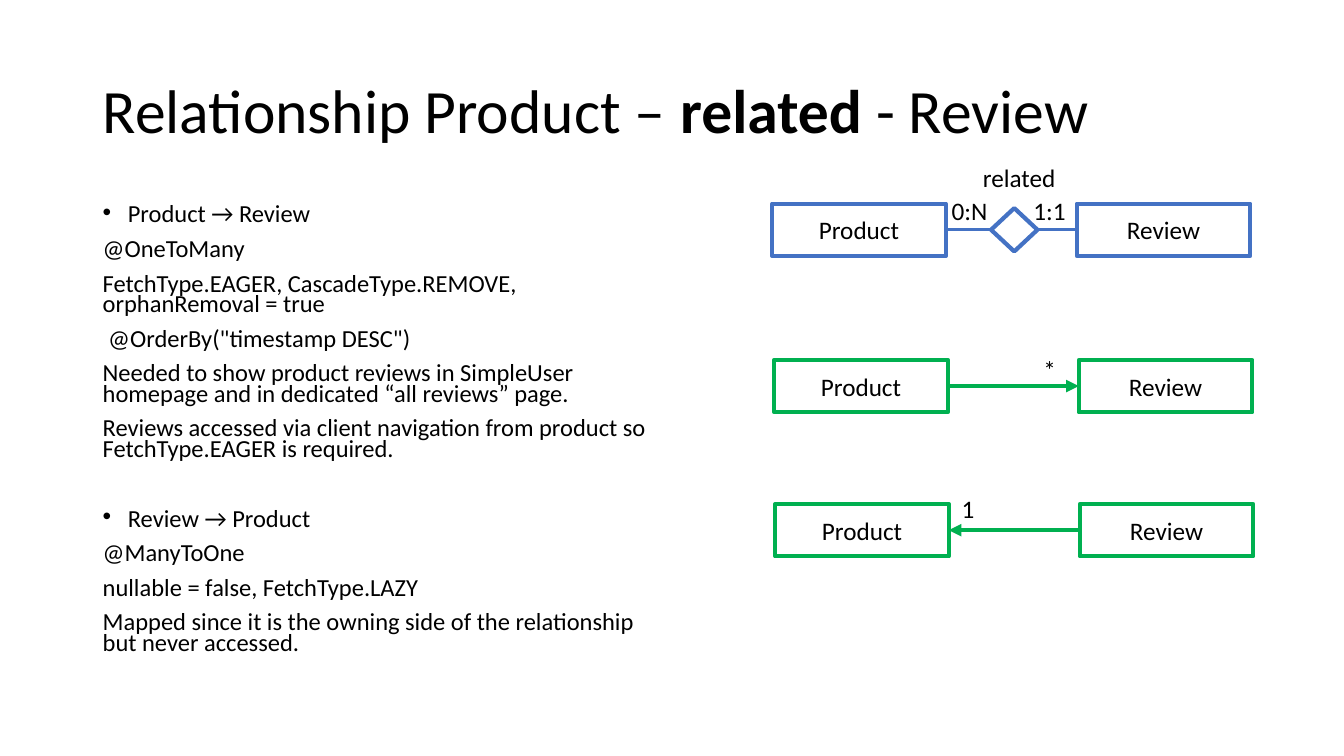
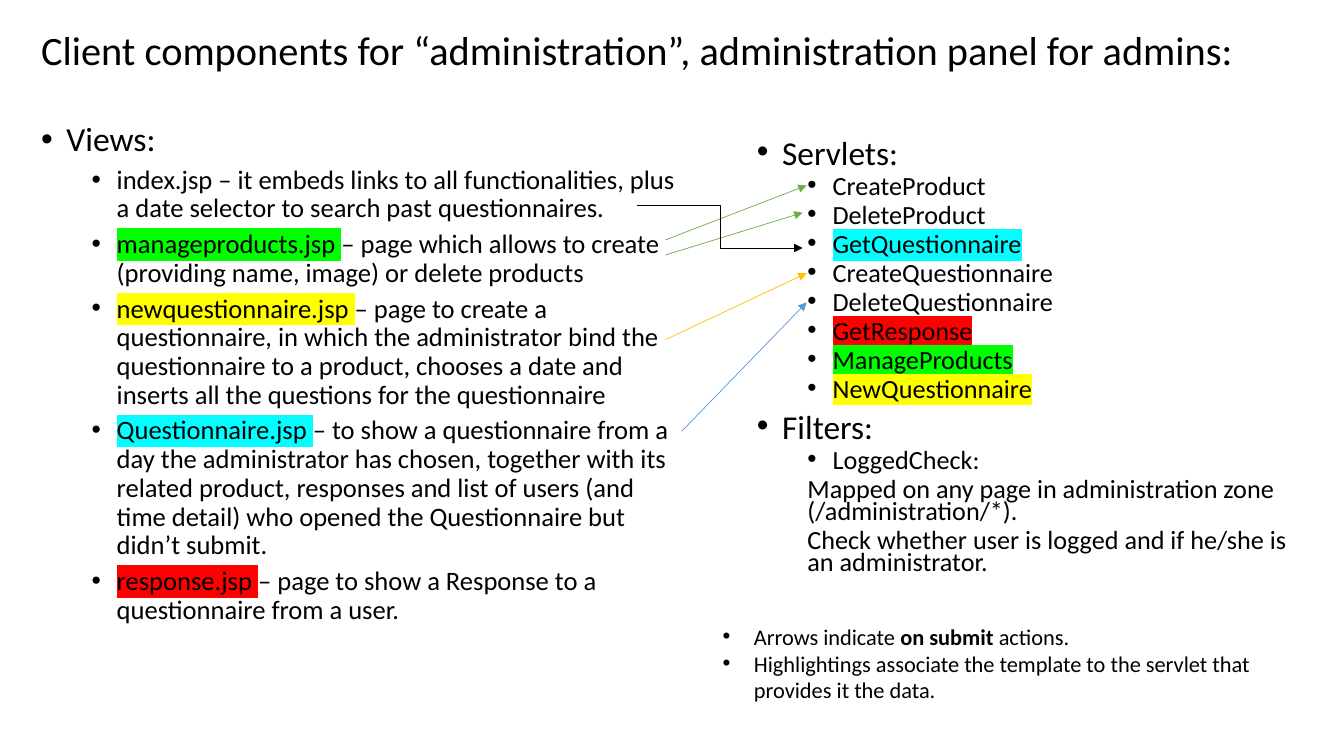
from dataclasses import dataclass

from lxml import etree
from pptx import Presentation
from pptx.dml.color import RGBColor
from pptx.enum.shapes import MSO_CONNECTOR, MSO_SHAPE
from pptx.enum.text import MSO_ANCHOR, MSO_AUTO_SIZE, PP_ALIGN
from pptx.oxml.ns import qn
from pptx.util import Inches, Pt

STRAIGHT, ELBOW = MSO_CONNECTOR.STRAIGHT, MSO_CONNECTOR.ELBOW
RECTANGLE, DIAMOND = MSO_SHAPE.RECTANGLE, MSO_SHAPE.DIAMOND
TOP, MIDDLE = MSO_ANCHOR.TOP, MSO_ANCHOR.MIDDLE
LEFT, CENTER = PP_ALIGN.LEFT, PP_ALIGN.CENTER


@dataclass(frozen=True)
class Theme:
    font: str = "Calibri"
    text: str = "000000"
    paper: str = "FFFFFF"
    entity: str = "4472C4"
    mapping: str = "00B050"
    title: float = 44
    small_title: float = 28.8
    label: float = 18
    note: float = 16


@dataclass(frozen=True)
class ParagraphStyle:
    size: float
    indent: float = 0
    hanging: float = 0
    line_spacing: float = 1
    space_before: float = 0
    align: int = LEFT


THEME = Theme()
HIGHLIGHTS = {"cyan": "00FFFF", "red": "FF0000", "green": "00FF00", "yellow": "FFFF00"}
STYLES = {
    "title": ParagraphStyle(THEME.title, line_spacing=0.9),
    "small title": ParagraphStyle(THEME.small_title, line_spacing=0.9),
    "label": ParagraphStyle(THEME.label),
    "box": ParagraphStyle(THEME.label, align=CENTER),
    "note": ParagraphStyle(THEME.note, 0.31, 0.31),
    "direction": ParagraphStyle(17.5, 0.25, 0.25, 0.7, 10),
    "next direction": ParagraphStyle(17.5, 0.25, 0.25, 0.7, 35),
    "detail": ParagraphStyle(17.5, 0, 0, 0.7, 10),
    "group": ParagraphStyle(23.8, 0.25, 0.25, 0.7, 10),
    "class": ParagraphStyle(18.7, 0.75, 0.25, 0.7, 5),
    "class detail": ParagraphStyle(18.7, 0.5, 0, 0.7, 5),
    "view group": ParagraphStyle(24, 0.25, 0.25, 0.9, 10),
    "view": ParagraphStyle(19, 0.75, 0.25, 0.9, 5),
}

# A paragraph is a style name followed by runs; a run is text or (text, mark).
RELATIONSHIP_TITLE = [("title", "Relationship Product – ", ("related", "bold"), " - Review")]
RELATIONSHIP_TEXT = [
    ("direction", "Product → Review"),
    ("detail", "@OneToMany"),
    ("detail", "FetchType.EAGER, CascadeType.REMOVE, orphanRemoval = true"),
    ("detail", " @OrderBy(\"timestamp DESC\")"),
    ("detail", "Needed to show product reviews in SimpleUser homepage and in dedicated “all reviews” page."),
    ("detail", "Reviews accessed via client navigation from product so FetchType.EAGER is required."),
    ("next direction", "Review → Product"),
    ("detail", "@ManyToOne"),
    ("detail", "nullable = false, FetchType.LAZY"),
    ("detail", "Mapped since it is the owning side of the relationship but never accessed."),
]
# left, top, line colour, fill colour
ENTITY_PAIRS = [
    (7.66, 2.02, THEME.entity, THEME.paper),
    (7.68, 3.57, THEME.mapping, None),
    (7.69, 5, THEME.mapping, None),
]
BOX_WIDTH, BOX_HEIGHT, BOX_STEP = 1.72, 0.52, 3.02
DIAMOND_WIDTH, DIAMOND_HEIGHT = 0.46, 0.43
# text, left, top, width
DIAGRAM_LABELS = [
    ("0:N", 9.34, 1.89, 0.56),
    ("1:1", 10.15, 1.89, 0.53),
    ("related", 9.65, 1.56, 0.93),
    ("*", 10.25, 3.47, 0.33),
    ("1", 9.44, 4.84, 0.33),
]

COMPONENTS_TITLE = [
    ("small title", "Client components for “administration”, administration panel for admins:"),
]
VIEWS = [
    ("view group", "Views:"),
    ("view", "index.jsp – it embeds links to all functionalities, plus a date selector "
             "to search past questionnaires."),
    ("view", ("manageproducts.jsp ", "green"),
     "– page which allows to create (providing name, image) or delete products"),
    ("view", ("newquestionnaire.jsp ", "yellow"),
     "– page to create a questionnaire, in which the administrator bind the questionnaire "
     "to a product, chooses a date and inserts all the questions for the questionnaire"),
    ("view", ("Questionnaire.jsp ", "cyan"),
     "– to show a questionnaire from a day the administrator has chosen, together with its "
     "related product, responses and list of users (and time detail) who opened the "
     "Questionnaire but didn’t submit."),
    ("view", ("response.jsp ", "red"), "– page to show a Response to a questionnaire from a user."),
]
SERVLETS = [
    ("group", "Servlets:"),
    ("class", "CreateProduct"),
    ("class", "DeleteProduct"),
    ("class", ("GetQuestionnaire", "cyan")),
    ("class", "CreateQuestionnaire"),
    ("class", "DeleteQuestionnaire"),
    ("class", ("GetResponse", "red")),
    ("class", ("ManageProducts", "green")),
    ("class", ("NewQuestionnaire", "yellow")),
    ("group", "Filters:"),
    ("class", "LoggedCheck:"),
    ("class detail", "Mapped on any page in administration zone (/administration/*)."),
    ("class detail", "Check whether user is logged and if he/she is an administrator."),
]
NOTES = [
    ("note", "Arrows indicate ", ("on submit ", "bold"), "actions."),
    ("note", "Highlightings associate the template to the servlet that provides it the data."),
]
# start, end, colour, connector kind
SUBMIT_ARROWS = [
    ((6.6, 3.37), (8, 2.71), "FFC000", STRAIGHT),
    ((6.6, 2.53), (7.96, 2.11), "70AD47", STRAIGHT),
    ((6.6, 2.38), (8, 1.84), "70AD47", STRAIGHT),
    ((6.76, 4.28), (8, 3), "5B9BD5", STRAIGHT),
    ((6.32, 2.04), (7.96, 2.46), THEME.text, ELBOW),
]


def color(value):
    return RGBColor.from_string(value)


def add_run(paragraph, text, size, mark=None):
    run = paragraph.add_run()
    run.text = text
    run.font.name = THEME.font
    run.font.size = Pt(size)
    run.font.bold = mark == "bold"
    run.font.color.rgb = color(THEME.text)
    if mark in HIGHLIGHTS:
        highlight = etree.Element(qn("a:highlight"))
        etree.SubElement(highlight, qn("a:srgbClr"), val=HIGHLIGHTS[mark])
        run.font.fill  # the highlight follows the text fill
        run._r.get_or_add_rPr().find(qn("a:solidFill")).addnext(highlight)


def format_paragraph(paragraph, style):
    paragraph.alignment = style.align
    paragraph.line_spacing = style.line_spacing
    paragraph.space_before = Pt(style.space_before)
    properties = paragraph._p.get_or_add_pPr()
    properties.set("marL", str(Inches(style.indent)))
    properties.set("indent", str(-Inches(style.hanging)))
    if style.hanging:
        etree.SubElement(properties, qn("a:buFont"), typeface="Arial")
        etree.SubElement(properties, qn("a:buChar"), char="•")


def write_text(frame, paragraphs, *, anchor=TOP, wrap=True):
    frame.word_wrap = wrap
    frame.vertical_anchor = anchor
    for index, (style_name, *runs) in enumerate(paragraphs):
        paragraph = frame.add_paragraph() if index else frame.paragraphs[0]
        style = STYLES[style_name]
        format_paragraph(paragraph, style)
        for run in runs:
            text, mark = (run, None) if isinstance(run, str) else run
            add_run(paragraph, text, style.size, mark)


def add_text(slide, paragraphs, left, top, width, height, **text_format):
    box = slide.shapes.add_textbox(*map(Inches, (left, top, width, height)))
    box.text_frame.auto_size = MSO_AUTO_SIZE.NONE
    write_text(box.text_frame, paragraphs, **text_format)


def add_outline(slide, kind, left, top, width, height, line, fill=None, text=None):
    shape = slide.shapes.add_shape(kind, *map(Inches, (left, top, width, height)))
    shape.shadow.inherit = False
    shape.line.color.rgb = color(line)
    shape.line.width = Pt(3)
    if fill:
        shape.fill.solid()
        shape.fill.fore_color.rgb = color(fill)
    else:
        shape.fill.background()
    if text:
        write_text(shape.text_frame, [("box", text)], anchor=MIDDLE)


def add_line(slide, start, end, line, width, *, kind=STRAIGHT, arrow=True):
    connector = slide.shapes.add_connector(kind, *map(Inches, (*start, *end)))
    connector.line.color.rgb = color(line)
    connector.line.width = Pt(width)
    if arrow:
        etree.SubElement(connector.line._get_or_add_ln(), qn("a:tailEnd"), type="triangle")
    etree.SubElement(connector._element.spPr, qn("a:effectLst"))


def add_slide(presentation):
    slide = presentation.slides.add_slide(presentation.slide_layouts[6])
    slide.background.fill.solid()
    slide.background.fill.fore_color.rgb = color(THEME.paper)
    return slide


def build_relationship(presentation):
    slide = add_slide(presentation)
    add_text(slide, RELATIONSHIP_TITLE, 0.92, 0.4, 11.5, 1.45, anchor=MIDDLE)
    add_text(slide, RELATIONSHIP_TEXT, 0.92, 2, 5.67, 4.76)

    links = []
    for left, top, line, fill in ENTITY_PAIRS:
        for index, name in enumerate(("Product", "Review")):
            add_outline(slide, RECTANGLE, left + index * BOX_STEP, top,
                        BOX_WIDTH, BOX_HEIGHT, line, fill, name)
        middle = top + BOX_HEIGHT / 2
        links.append(((left + BOX_WIDTH, middle), (left + BOX_STEP, middle)))

    (start, end), (product, review), (second_product, second_review) = links
    center, middle = (start[0] + end[0]) / 2 + 0.03, start[1]
    half = DIAMOND_WIDTH / 2
    add_line(slide, start, (center - half, middle), THEME.entity, 2.25, arrow=False)
    add_line(slide, (center + half, middle), end, THEME.entity, 2.25, arrow=False)
    add_outline(slide, DIAMOND, center - half, middle - DIAMOND_HEIGHT / 2,
                DIAMOND_WIDTH, DIAMOND_HEIGHT, THEME.entity, THEME.paper)
    add_line(slide, product, review, THEME.mapping, 3)
    add_line(slide, second_review, second_product, THEME.mapping, 3)

    for text, left, top, width in DIAGRAM_LABELS:
        add_text(slide, [("label", text)], left, top, width, 0.4, wrap=False)


def build_components(presentation):
    slide = add_slide(presentation)
    add_text(slide, COMPONENTS_TITLE, 0.31, 0.22, 12.88, 0.6, anchor=MIDDLE)
    add_text(slide, SERVLETS, 7.41, 1.37, 5.67, 4.76)
    add_text(slide, VIEWS, 0.31, 1.17, 6.56, 5.75)
    for start, end, line, kind in SUBMIT_ARROWS:
        add_line(slide, start, end, line, 0.5, kind=kind)
    add_text(slide, NOTES, 7.07, 6.13, 5.67, 0.91)


def main():
    presentation = Presentation()
    presentation.slide_width = Inches(13.33)
    presentation.slide_height = Inches(7.5)
    build_relationship(presentation)
    build_components(presentation)
    presentation.save("out.pptx")


if __name__ == "__main__":
    main()
